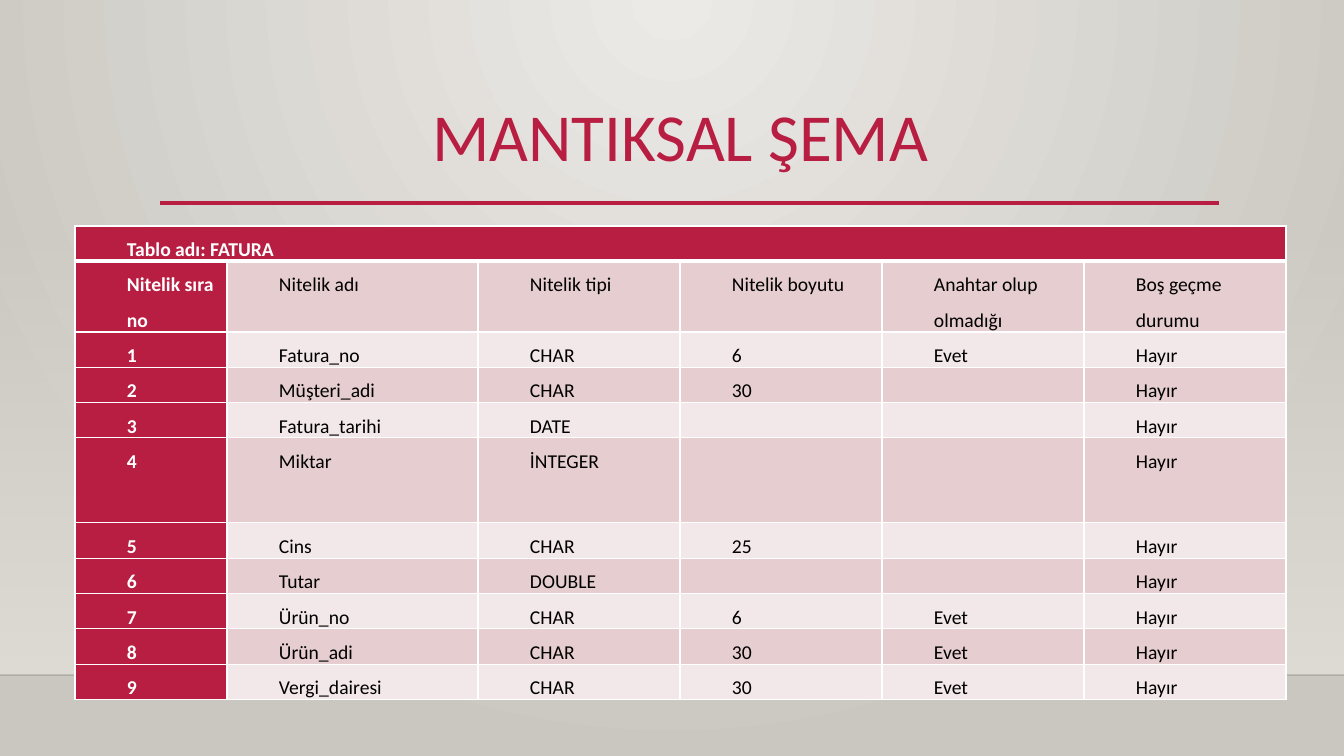
from lxml import etree
from pptx import Presentation
from pptx.dml.color import RGBColor
from pptx.enum.shapes import MSO_CONNECTOR, MSO_SHAPE
from pptx.enum.text import MSO_AUTO_SIZE, PP_ALIGN
from pptx.oxml import parse_xml
from pptx.oxml.ns import nsdecls, qn
from pptx.util import Pt

STRAIGHT = MSO_CONNECTOR.STRAIGHT
RECTANGLE = MSO_SHAPE.RECTANGLE
FIT_SHAPE = MSO_AUTO_SIZE.SHAPE_TO_FIT_TEXT
CENTER, LEFT = PP_ALIGN.CENTER, PP_ALIGN.LEFT

CRIMSON = RGBColor(0xB7, 0x1E, 0x42)
WHITE = RGBColor(0xFF, 0xFF, 0xFF)
BLACK = RGBColor(0x00, 0x00, 0x00)
ROSE = RGBColor(0xE6, 0xCD, 0xCF)
PALE_ROSE = RGBColor(0xF3, 0xE8, 0xE9)
FLOOR_EDGE = RGBColor(0x00, 0x00, 0x01)
GLOW = RGBColor(0xEC, 0xEA, 0xE7)
STONE = RGBColor(0xCA, 0xC7, 0xC1)
SAND = RGBColor(0xDF, 0xDB, 0xD5)

PIXEL = 12192000 / 1344


def px(count):
    return round(count * PIXEL)


def write(frame, text, size=14, color=BLACK, bold=False, align=LEFT, spacing=1.0, indent=0):
    para = frame.paragraphs[0]
    para.alignment = align
    para.line_spacing = spacing
    properties = para._p.get_or_add_pPr()
    properties.set("marL", str(px(indent)))
    properties.set("indent", "0")
    span = para.add_run()
    span.text = text
    span.font.name = "Calibri"
    span.font.size = Pt(size)
    span.font.bold = bold
    span.font.color.rgb = color


deck = Presentation()
deck.slide_width, deck.slide_height = px(1344), px(756)
page = deck.slides.add_slide(deck.slide_layouts[5])

# Background glow and the wall fading in below it
page.background.fill.solid()
wall = page.shapes.add_shape(RECTANGLE, 0, px(223), px(1344), px(452))
wall.shadow.inherit = False
wall.line.fill.background()
wall.fill.solid()
gradients = [
    (page.element.xpath(".//p:bgPr/a:solidFill")[0], GLOW, 100, STONE,
     '<a:path path="circle"><a:fillToRect l="43000" t="0" r="43000" b="100000"/></a:path>'),
    (wall.element.xpath("./p:spPr/a:solidFill")[0], SAND, 0, SAND,
     '<a:lin ang="5400000" scaled="0"/>'),
]
for solid, start, opacity, end, direction in gradients:
    gradient = parse_xml(
        f'<a:gradFill {nsdecls("a")} rotWithShape="1"><a:gsLst>'
        f'<a:gs pos="0"><a:srgbClr val="{start}"><a:alpha val="{opacity * 1000}"/></a:srgbClr></a:gs>'
        f'<a:gs pos="100000"><a:srgbClr val="{end}"/></a:gs>'
        f'</a:gsLst>{direction}</a:gradFill>')
    solid.getparent().replace(solid, gradient)

# Floor edge and title rule
for left, right, y, color, weight, opacity in [
    (0, 1344, 675, FLOOR_EDGE, 1, 20),
    (160, 1219, 203, CRIMSON, 2.5, 100),
]:
    rule = page.shapes.add_connector(STRAIGHT, px(left), px(y), px(right), px(y))
    rule.line.color.rgb = color
    rule.line.width = Pt(weight)
    tint = rule.element.xpath("./p:spPr/a:ln//a:srgbClr")[0]
    etree.SubElement(tint, qn("a:alpha")).set("val", str(opacity * 1000))
    etree.SubElement(rule.element.spPr, qn("a:effectLst"))

# Title
title = page.shapes.title
title.left, title.top, title.width, title.height = px(397), px(89), px(567), px(92)
title.text_frame.word_wrap = True
title.text_frame.auto_size = FIT_SHAPE
write(title.text_frame, "MANTIKSAL ŞEMA", size=48, color=CRIMSON, align=CENTER)

# Schema table
rows = [
    ["Tablo adı: FATURA", "", "", "", "", ""],
    ["Nitelik sıra no", "Nitelik adı", "Nitelik tipi", "Nitelik boyutu",
     "Anahtar olup olmadığı", "Boş geçme durumu"],
    ["1", "Fatura_no", "CHAR", "6", "Evet", "Hayır"],
    ["2", "Müşteri_adi", "CHAR", "30", "", "Hayır"],
    ["3", "Fatura_tarihi", "DATE", "", "", "Hayır"],
    ["4", "Miktar", "İNTEGER", "", "", "Hayır"],
    ["5", "Cins", "CHAR", "25", "", "Hayır"],
    ["6", "Tutar", "DOUBLE", "", "", "Hayır"],
    ["7", "Ürün_no", "CHAR", "6", "Evet", "Hayır"],
    ["8", "Ürün_adi", "CHAR", "30", "Evet", "Hayır"],
    ["9", "Vergi_dairesi", "CHAR", "30", "Evet", "Hayır"],
]
widths = [152, 251, 202, 202, 202, 202]
heights = [35, 70, 35, 35, 35, 85, 35, 35, 35, 35, 35]
table = page.shapes.add_table(len(rows), len(widths), px(75), px(226),
                              px(sum(widths)), px(sum(heights))).table
table.first_row = table.horz_banding = False
for column, width in zip(table.columns, widths):
    column.width = px(width)
for row, height in zip(table.rows, heights):
    row.height = px(height)
table.cell(0, 0).merge(table.cell(0, len(widths) - 1))

for r, values in enumerate(rows):
    for c, value in enumerate(values):
        cell = table.cell(r, c)
        heading = r == 0 or c == 0
        cell.margin_left = cell.margin_right = px(2)
        cell.margin_top = cell.margin_bottom = 0
        cell.fill.solid()
        cell.fill.fore_color.rgb = CRIMSON if heading else ROSE if r % 2 else PALE_ROSE
        if value:
            write(cell.text_frame, value, color=WHITE if heading else BLACK,
                  bold=heading, spacing=1.5, indent=50)
        for place, side in enumerate("LRTB"):
            thick = (r, side) in [(0, "B"), (1, "T")]
            border = parse_xml(
                f'<a:ln{side} {nsdecls("a")} w="{Pt(3 if thick else 1)}"><a:solidFill>'
                f'<a:srgbClr val="{WHITE}"/></a:solidFill></a:ln{side}>')
            cell._tc.get_or_add_tcPr().insert(place, border)

deck.save("out.pptx")
